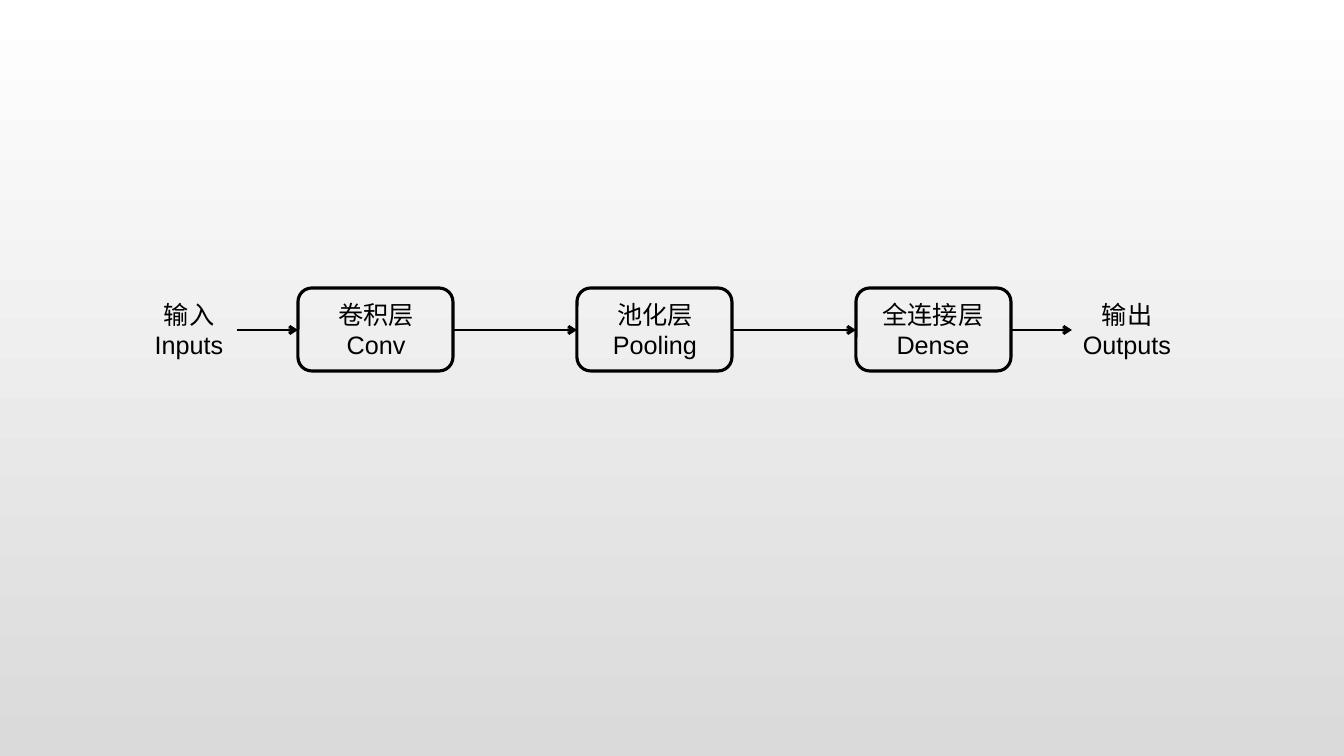
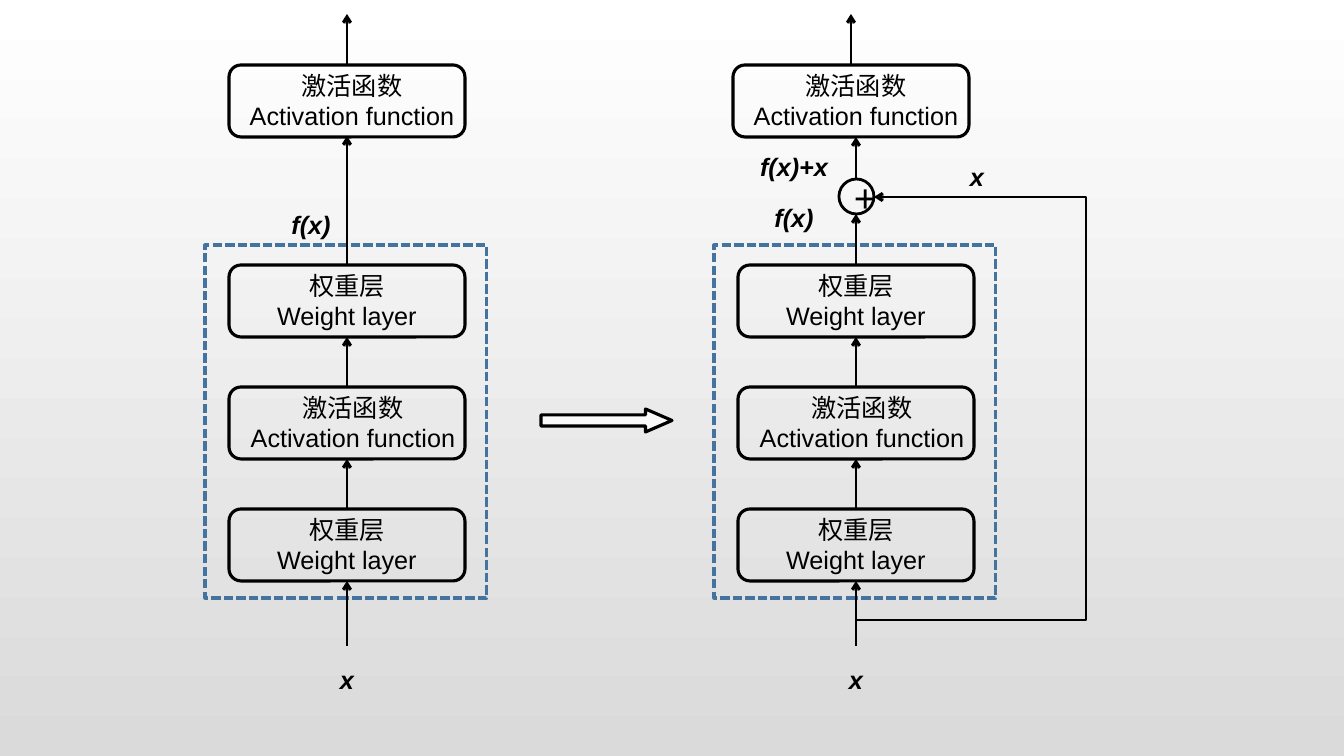
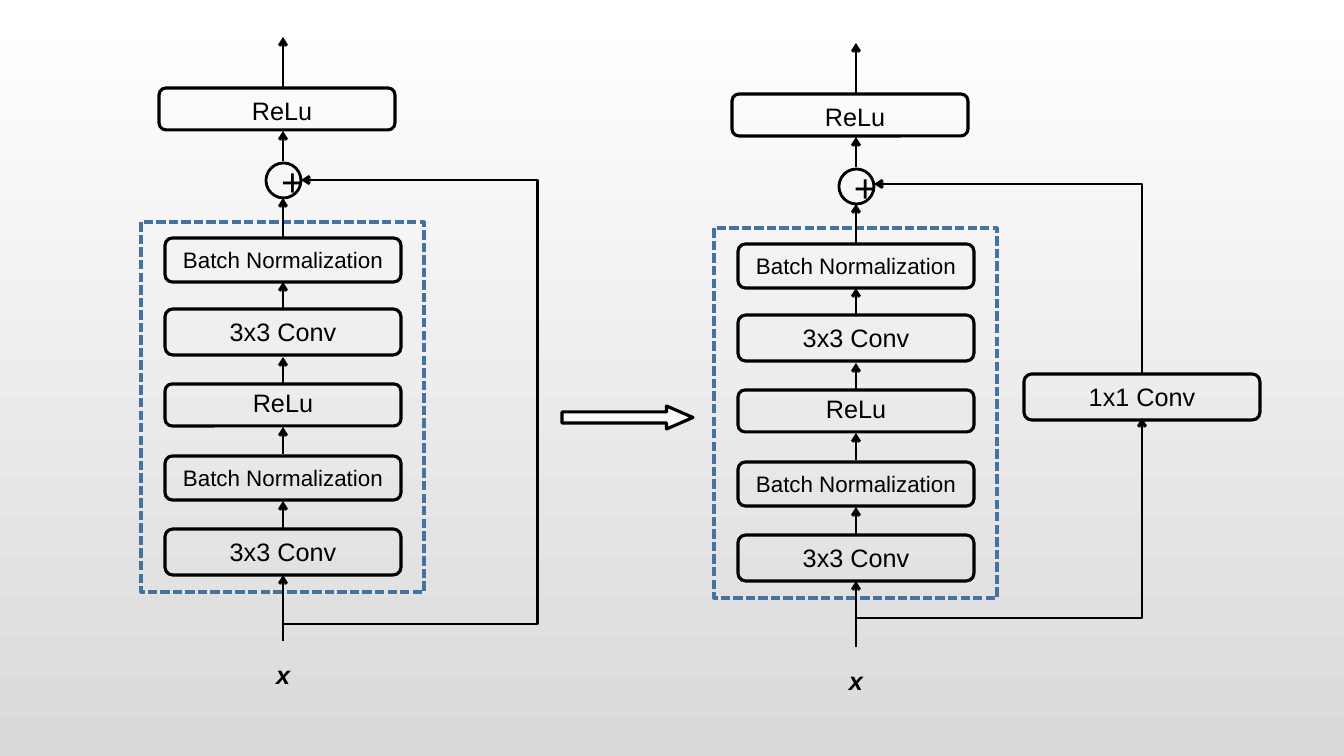
from lxml.etree import SubElement
from pptx import Presentation
from pptx.dml.color import RGBColor
from pptx.enum.dml import MSO_LINE_DASH_STYLE as DASH
from pptx.enum.shapes import MSO_CONNECTOR as CONNECTOR, MSO_SHAPE as SHAPE
from pptx.enum.text import MSO_ANCHOR as ANCHOR, MSO_AUTO_SIZE as FIT, PP_ALIGN as ALIGN
from pptx.oxml.ns import qn
from pptx.util import Emu, Pt

SCALE = 914400 / 100.8
WIDTH, HEIGHT = 1344, 756
INK, FRAME, PALE = "000000", "43739E", "FAFAFA"
BACKDROP = ("FFFFFF", "DADADA")
FONT = "Arial"
BOX_WIDTH = 236
WIDE, NARROW, SYMBOL = 327, 220, 96
SUM_SIZE = 35
BLOCK_HEIGHT = 72
WEIGHT = ("权重层", "Weight layer")
ACTIVATION = ("激活函数", "Activation function")
SYMBOL_FORMAT = {"bold": True, "italic": True}

# kind: box height, caption drop, caption width, font size
UNITS = {
    "3x3 Conv": (46, 2, NARROW, 18),
    "1x1 Conv": (46, 2, NARROW, 18),
    "Batch Normalization": (44, 3, WIDE, 16),
    "ReLu": (42, -2, WIDE, 18),
}
UNIT_STACK = (
    ("3x3 Conv", 529),
    ("Batch Normalization", 456),
    ("ReLu", 384),
    ("3x3 Conv", 309),
    ("Batch Normalization", 238),
)


def emu(pixels):
    """Turn pixels into EMU."""
    return Emu(round(pixels * SCALE))


def colour(value):
    """Turn a hex string into a colour."""
    return RGBColor.from_string(value)


def write(shape, lines, size=18, **formats):
    """Write centred paragraphs into a shape."""
    frame = shape.text_frame
    frame.word_wrap = True
    for index, line in enumerate(lines):
        para = frame.paragraphs[0] if index == 0 else frame.add_paragraph()
        para.alignment = ALIGN.CENTER
        span = para.add_run()
        span.text = line
        span.font.color.rgb = colour(INK)
        for name, value in {"name": FONT, "size": Pt(size), **formats}.items():
            setattr(span.font, name, value)
    return frame


def caption(page, centre, top, width, lines, size=18, **formats):
    """Add a text box centred on a column."""
    height = 40 if len(lines) == 1 else BLOCK_HEIGHT
    box = page.shapes.add_textbox(*map(emu, (centre - width / 2, top, width, height)))
    write(box, lines, size, **formats).auto_size = FIT.SHAPE_TO_FIT_TEXT


def symbol(page, centre, top, text):
    """Add a bold italic formula."""
    caption(page, centre, top, SYMBOL, (text,), **SYMBOL_FORMAT)


def outline(page, kind, left, top, width, height, line=INK, weight=2.25, fill=None):
    """Add a preset shape with a plain outline."""
    shape = page.shapes.add_shape(kind, *map(emu, (left, top, width, height)))
    shape.shadow.inherit = False
    if fill:
        shape.fill.solid()
        shape.fill.fore_color.rgb = colour(fill)
    else:
        shape.fill.background()
    shape.line.color.rgb = colour(line)
    shape.line.width = Pt(weight)
    return shape


def rounded(page, left, top, width, height):
    """Add a rounded layer box."""
    return outline(page, SHAPE.ROUNDED_RECTANGLE, left, top, width, height)


def dashed_frame(page, left, top, width, height):
    """Add the dashed frame around a group of layers."""
    frame = outline(page, SHAPE.RECTANGLE, left, top, width, height, FRAME)
    frame.line.dash_style = DASH.SQUARE_DOT


def block_arrow(page, left, top):
    """Add the large arrow between two networks."""
    arrow = outline(page, SHAPE.RIGHT_ARROW, left, top, 131, 23, fill=PALE)
    arrow.adjustments[0] = 0.48
    arrow.adjustments[1] = 1.15


def sum_node(page, left, top):
    """Add a circle with a plus sign."""
    node = outline(page, SHAPE.OVAL, left, top, SUM_SIZE, SUM_SIZE, weight=2)
    write(node, ("+",), 28).vertical_anchor = ANCHOR.MIDDLE


def arrow(page, start, end, kind=CONNECTOR.STRAIGHT):
    """Add a connector with an open arrowhead."""
    link = page.shapes.add_connector(kind, *map(emu, (*start, *end)))
    link.line.color.rgb = colour(INK)
    link.line.width = Pt(2)
    SubElement(link.line._get_or_add_ln(), qn("a:tailEnd"), type="arrow")
    SubElement(link._element.spPr, qn("a:effectLst"))
    return link


def elbow(page, start, end, turned=False, flipped=False, reach=None):
    """Add a bent arrow; reach is how far it swings out to the right."""
    (x1, y1), (x2, y2) = start, end
    width, height = abs(x2 - x1), abs(y2 - y1)
    if turned:
        width, height = height, width
    left, top = (x1 + x2 - width) / 2, (y1 + y2 - height) / 2
    link = arrow(page, (left, top), (left + width, top + height), CONNECTOR.ELBOW)
    properties = link._element.spPr
    if turned:
        properties.xfrm.set("rot", str(270 * 60000))
    if flipped:
        properties.xfrm.set("flipV", "1")
    geometry = properties.find(qn("a:prstGeom"))
    geometry.set("prst", "bentConnector4" if reach else "bentConnector2")
    if reach:
        guides = geometry.find(qn("a:avLst"))
        for name, value in (("adj1", 0), ("adj2", round(reach / height * 100000))):
            SubElement(guides, qn("a:gd"), name=name, fmla=f"val {value}")


def rise(page, x, spans):
    """Add upward arrows on one vertical."""
    for bottom, top in spans:
        arrow(page, (x, bottom), (x, top))


def block(page, left, top, lines, shift=0):
    """Add a two-line layer."""
    rounded(page, left, top, BOX_WIDTH, BLOCK_HEIGHT)
    width = WIDE if lines is ACTIVATION else NARROW
    caption(page, left + BOX_WIDTH / 2 + shift, top, width, lines)


def unit(page, left, top, name, shift=0, drop=None):
    """Add a one-line layer."""
    height, usual_drop, width, size = UNITS[name]
    rounded(page, left, top, BOX_WIDTH, height)
    drop = usual_drop if drop is None else drop
    caption(page, left + BOX_WIDTH / 2 + shift, top + drop, width, (name,), size)


def block_network(page, dx, top_left):
    """Add a column of two-line layers."""
    dashed_frame(page, dx + 205, 245, 282, 353)
    for index, lines in enumerate((WEIGHT, ACTIVATION, WEIGHT)):
        block(page, dx + 229, 509 - 122 * index, lines, 6 if lines is ACTIVATION else 0)
    block(page, top_left, 65, ACTIVATION, 5)
    rise(page, dx + 347, ((646, 581), (509, 459), (387, 337)))
    rise(page, top_left + BOX_WIDTH / 2, ((65, 14),))
    symbol(page, dx + 347, 659, "x")


def unit_network(page, dx, dy):
    """Add a column of one-line layers."""
    dashed_frame(page, dx + 141, dy + 222, 283, 370)
    for name, top in UNIT_STACK:
        unit(page, dx + 165, dy + top, name)
    unit(page, dx + 159, dy + 88, "ReLu", 5, 2)
    sum_node(page, dx + 266, dy + 163)
    spans = ((641, 575), (529, 501), (454, 427), (384, 357),
             (309, 282), (238, 198), (161, 131), (88, 37))
    rise(page, dx + 283, [(dy + bottom, dy + top) for bottom, top in spans])
    symbol(page, dx + 283, dy + 654, "x")


def pipeline_slide(page):
    """Draw the layer pipeline."""
    for index in range(3):
        rounded(page, 298 + 279 * index, 288, 155, 83)
    for centre, width, lines in (
        (189, 96, ("输入", "Inputs")),
        (376, 96, ("卷积层", "Conv")),
        (655, 112, ("池化层", "Pooling")),
        (933, 133, ("全连接层", "Dense")),
        (1127, 109, ("输出", "Outputs")),
    ):
        caption(page, centre, 294, width, lines)
    for start, end in ((237, 298), (453, 577), (732, 856), (1011, 1072)):
        arrow(page, (start, 330), (end, 330))


def residual_slide(page):
    """Draw a plain network beside a residual one."""
    block_network(page, 0, 229)
    rise(page, 347, ((265, 136),))
    symbol(page, 311, 204, "f(x)")
    block_arrow(page, 541, 409)
    block_network(page, 509, 733)
    sum_node(page, 839, 179)
    rise(page, 856, ((265, 214), (179, 137)))
    elbow(page, (855, 620), (874, 197), turned=True, reach=231)
    for centre, top, text in ((794, 197, "f(x)"), (794, 146, "f(x)+x"), (977, 156, "x")):
        symbol(page, centre, top, text)


def shortcut_slide(page):
    """Draw two kinds of residual shortcut."""
    unit_network(page, 0, 0)
    elbow(page, (283, 624), (301, 180), turned=True, reach=254)
    block_arrow(page, 562, 406)
    unit_network(page, 573, 6)
    unit(page, 1024, 374, "1x1 Conv")
    elbow(page, (856, 618), (1142, 418), flipped=True)
    elbow(page, (1142, 374), (874, 184), turned=True, flipped=True)


def main():
    """Build and save the deck."""
    deck = Presentation()
    deck.slide_width, deck.slide_height = emu(WIDTH), emu(HEIGHT)
    backdrop = deck.slide_master.background.fill
    backdrop.gradient()
    backdrop.gradient_angle = 270
    for stop, value in zip(backdrop.gradient_stops, BACKDROP):
        stop.color.rgb = colour(value)
    for draw in (pipeline_slide, residual_slide, shortcut_slide):
        draw(deck.slides.add_slide(deck.slide_layouts[6]))
    deck.save("out.pptx")


main()
